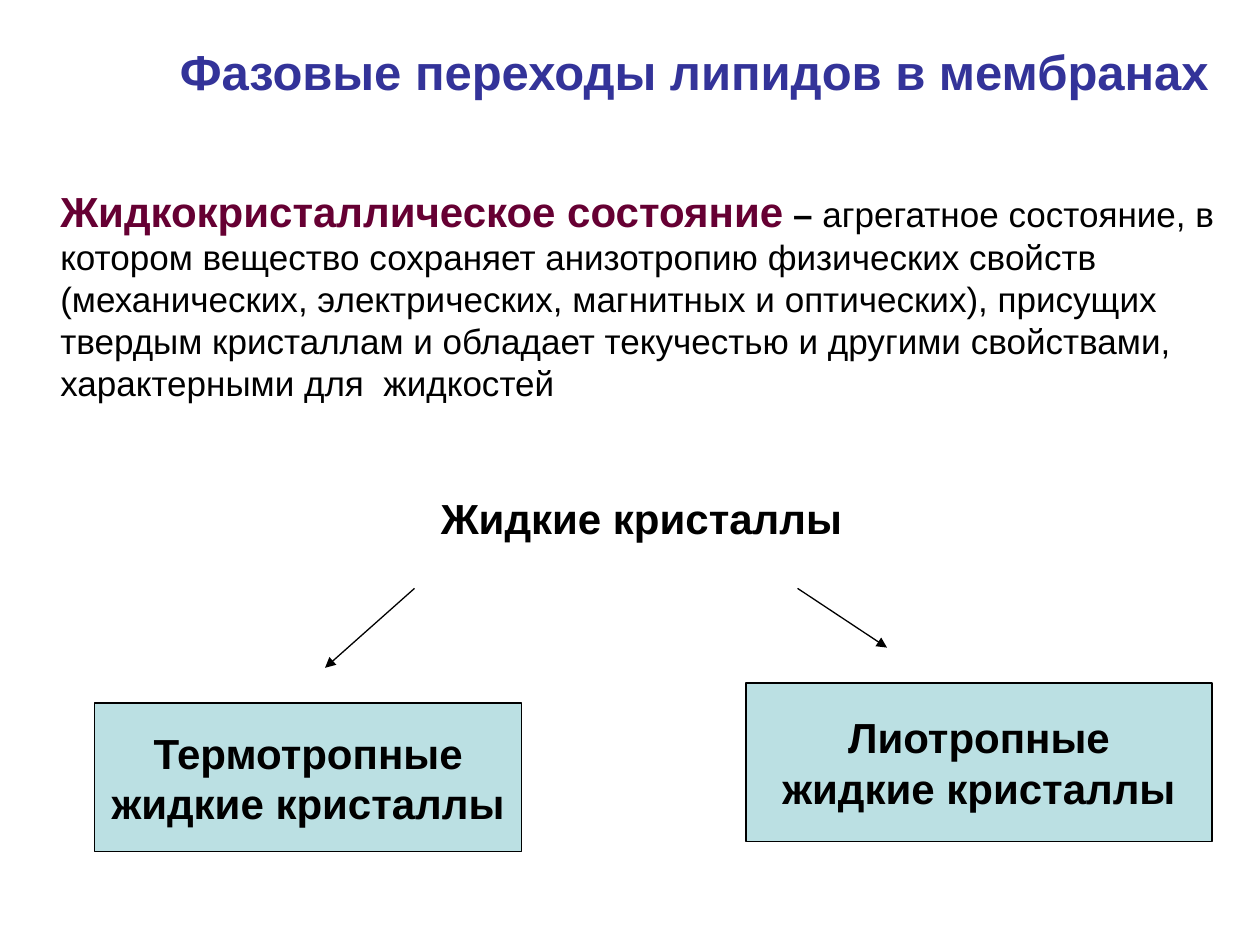
"""Build the slide on phase transitions of lipids in membranes."""
from dataclasses import dataclass
from typing import Any

import lxml.etree
import pptx
import pptx.dml.color
import pptx.enum.shapes
import pptx.enum.text
import pptx.oxml.ns
import pptx.util

Inches = pptx.util.Inches
BLACK = "000000"
LINE_WIDTH = pptx.util.Pt(0.75)


@dataclass(frozen=True)
class Run:
    text: str
    size: int = 24
    color: str = BLACK
    bold: bool = True


@dataclass(frozen=True)
class Box:
    left: float
    top: float
    width: float
    height: float
    paragraphs: tuple[tuple[Run, ...], ...]


@dataclass(frozen=True)
class Arrow:
    start: tuple[float, float]
    end: tuple[float, float]


TEXTS = (
    Box(1.33, 0.28, 8.67, 0.57, ((Run("Фазовые переходы липидов в мембранах", 28, "333399"),),)),
    Box(0.38, 1.42, 9.45, 1.83, ((
        Run("Жидкокристаллическое состояние", color="660033"),
        Run(" – ", 20),
        Run("агрегатное состояние, в котором вещество сохраняет анизотропию "
            "физических свойств (механических, электрических, магнитных и "
            "оптических), присущих твердым кристаллам и обладает текучестью и "
            "другими свойствами, характерными для  жидкостей", 20, bold=False),
    ),)),
    Box(3.4, 3.86, 3.39, 0.5, ((Run("Жидкие кристаллы"),),)),
)
CRYSTAL_TYPES = (
    Box(0.75, 5.58, 3.39, 1.18, ((Run("Термотропные"),), (Run("жидкие кристаллы"),))),
    Box(5.92, 5.42, 3.7, 1.26, ((Run("Лиотропные"),), (Run("жидкие кристаллы"),))),
)
ARROWS = (Arrow((6.33, 4.67), (7.04, 5.14)), Arrow((3.29, 4.67), (2.58, 5.3)))


def set_attributes(target: Any, values: dict[str, Any]) -> None:
    for name, value in values.items():
        setattr(target, name, value)


def set_color(color_format: Any, color: str) -> None:
    color_format.rgb = pptx.dml.color.RGBColor.from_string(color)


def place(box: Box) -> tuple[int, ...]:
    return tuple(Inches(value) for value in (box.left, box.top, box.width, box.height))


def write_text(shape: Any, box: Box, alignment: Any, anchor: Any) -> None:
    frame = shape.text_frame
    set_attributes(frame, {"word_wrap": True, "vertical_anchor": anchor})
    for index, runs in enumerate(box.paragraphs):
        paragraph = frame.add_paragraph() if index else frame.paragraphs[0]
        paragraph.alignment = alignment
        for item in runs:
            run = paragraph.add_run()
            run.text = item.text
            set_attributes(run.font, {
                "name": "Arial", "size": pptx.util.Pt(item.size), "bold": item.bold})
            set_color(run.font.color, item.color)


def draw_text(slide: Any, box: Box) -> None:
    shape = slide.shapes.add_textbox(*place(box))
    write_text(shape, box, pptx.enum.text.PP_ALIGN.LEFT, pptx.enum.text.MSO_ANCHOR.TOP)


def draw_crystal_type(slide: Any, box: Box) -> None:
    shape = slide.shapes.add_shape(pptx.enum.shapes.MSO_SHAPE.RECTANGLE, *place(box))
    shape.shadow.inherit = False
    shape.fill.solid()
    set_color(shape.fill.fore_color, "BBE0E3")
    set_color(shape.line.color, BLACK)
    shape.line.width = LINE_WIDTH
    write_text(shape, box, pptx.enum.text.PP_ALIGN.CENTER, pptx.enum.text.MSO_ANCHOR.MIDDLE)


def draw_arrow(slide: Any, arrow: Arrow) -> None:
    connector = slide.shapes.add_connector(
        pptx.enum.shapes.MSO_CONNECTOR.STRAIGHT,
        *(Inches(value) for value in arrow.start + arrow.end))
    set_color(connector.line.color, BLACK)
    connector.line.width = LINE_WIDTH
    qualify = pptx.oxml.ns.qn
    properties = connector._element.spPr
    lxml.etree.SubElement(properties.find(qualify("a:ln")), qualify("a:tailEnd"), type="triangle")
    lxml.etree.SubElement(properties, qualify("a:effectLst"))


def main() -> None:
    presentation = pptx.Presentation()
    set_attributes(presentation, {"slide_width": Inches(10), "slide_height": Inches(7.5)})
    slide = presentation.slides.add_slide(presentation.slide_layouts[6])
    for box in CRYSTAL_TYPES:
        draw_crystal_type(slide, box)
    for arrow in ARROWS:
        draw_arrow(slide, arrow)
    for box in TEXTS:
        draw_text(slide, box)
    presentation.save("out.pptx")


if __name__ == "__main__":
    main()
